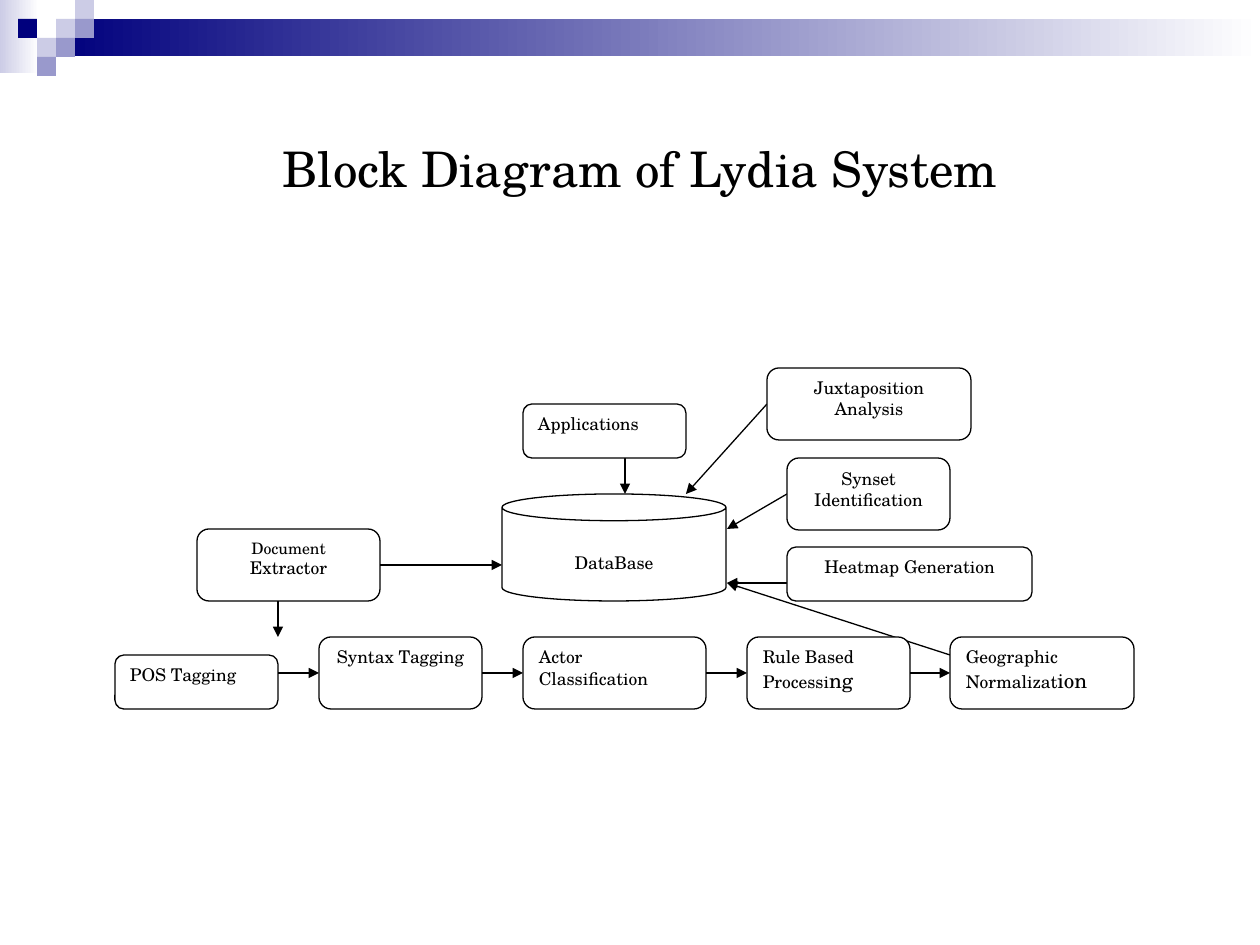
from dataclasses import dataclass
from itertools import pairwise

from lxml.etree import SubElement
from pptx import Presentation
from pptx.dml.color import RGBColor
from pptx.enum.shapes import MSO_CONNECTOR, MSO_SHAPE
from pptx.enum.text import MSO_ANCHOR, PP_ALIGN
from pptx.oxml.ns import qn
from pptx.util import Emu, Pt


@dataclass(frozen=True)
class Theme:
    """Colours, font and type sizes of the slide."""
    font: str = "TeX Gyre Schola"
    ink: str = "000000"
    paper: str = "FFFFFF"
    navy: str = "00007D"
    violet: str = "9999CC"
    lilac: str = "CCCCE6"
    title: float = 28
    large: float = 12
    label: float = 10
    small: float = 9
    line: float = 0.75


THEME = Theme()
LEFT, CENTER = PP_ALIGN.LEFT, PP_ALIGN.CENTER


def px(length):
    """Turn pixels at 126 to the inch into EMU."""
    return Emu(round(length * 914400 / 126))


def colour(code):
    """Return the colour for a hex code."""
    return RGBColor.from_string(code)


def add_block(page, kind, left, top, width, height):
    """Add a preset shape without shadow."""
    shape = page.shapes.add_shape(kind, px(left), px(top), px(width), px(height))
    shape.shadow.inherit = False
    return shape


def write(frame, paragraphs, align):
    """Write paragraphs, each a list of (text, size) runs."""
    for index, spans in enumerate(paragraphs):
        para = frame.add_paragraph() if index else frame.paragraphs[0]
        para.alignment = align
        for text, size in spans:
            span = para.add_run()
            span.text = text
            span.font.name = THEME.font
            span.font.size = Pt(size)
            span.font.color.rgb = colour(THEME.ink)


def add_node(page, kind, box, paragraphs, align, inset=6):
    """Add an outlined diagram node with its label."""
    node = add_block(page, kind, *box)
    node.fill.solid()
    node.fill.fore_color.rgb = colour(THEME.paper)
    node.line.color.rgb = colour(THEME.ink)
    node.line.width = Pt(THEME.line)
    frame = node.text_frame
    frame.word_wrap = True
    frame.vertical_anchor = MSO_ANCHOR.TOP
    frame.margin_top = px(inset)
    write(frame, paragraphs, align)


def add_arrow(page, start, end):
    """Add a straight line with a triangular head at its end."""
    arrow = page.shapes.add_connector(
        MSO_CONNECTOR.STRAIGHT, *map(px, start), *map(px, end))
    arrow.line.color.rgb = colour(THEME.ink)
    arrow.line.width = Pt(THEME.line)
    SubElement(arrow.line._get_or_add_ln(), qn("a:tailEnd"), type="triangle")
    SubElement(arrow._element.spPr, qn("a:effectLst"))


def add_banner(page, left, top, width):
    """Draw the gradient bands and the chequered squares."""
    bands = [((0, 0, 39, 73), THEME.lilac), ((57, 19, width - 57, 37), THEME.navy)]
    for (x, y, w, h), start in bands:
        band = add_block(page, MSO_SHAPE.RECTANGLE, left + x, top + y, w, h)
        band.line.fill.background()
        band.fill.gradient()
        band.fill.gradient_angle = 0
        for stop, code in zip(band.fill.gradient_stops, (start, THEME.paper)):
            stop.color.rgb = colour(code)
        first, last = band.fill.gradient_stops
        first.position, last.position = 0, 1
    side = 19
    squares = [(3, 1, THEME.lilac), (4, 0, THEME.lilac), (4, 1, THEME.violet),
               (2, 2, THEME.lilac), (1, 1, THEME.navy), (3, 2, THEME.violet),
               (2, 3, THEME.violet)]
    for column, row, code in squares:
        square = add_block(page, MSO_SHAPE.RECTANGLE, left + column * side - 1,
                           top + row * side, side, side)
        square.fill.solid()
        square.fill.fore_color.rgb = colour(code)
        square.line.fill.background()


def add_title(page, left, top, width, height):
    """Place and fill the title placeholder."""
    title = page.shapes.title
    title.left, title.top, title.width, title.height = map(
        px, (left, top, width, height))
    title.text_frame.vertical_anchor = MSO_ANCHOR.MIDDLE
    write(title.text_frame, [[("Block Diagram of Lydia System", THEME.title)]], CENTER)


def add_diagram(page, left, top):
    """Draw the database with its feeding modules and the processing row."""
    label, large, small = THEME.label, THEME.large, THEME.small
    modules = [
        ((82, 161, 183, 72), [[("Document ", small), ("Extractor", label)]], CENTER),
        ((408, 36, 163, 54), [[("Applications", label)]], LEFT),
        ((652, 0, 204, 72), [[("Juxtaposition", label)], [("Analysis", label)]], CENTER),
        ((672, 90, 163, 72), [[("Synset Identification", label)]], CENTER),
        ((672, 179, 245, 54), [[("Heatmap Generation", label)]], CENTER),
    ]
    stages = [
        ((0, 287, 163, 54), [[("POS Tagging", label)]], LEFT),
        ((204, 269, 163, 72), [[("Syntax Tagging", label)]], CENTER),
        ((408, 269, 183, 72), [[("Actor Classification", label)]], LEFT),
        ((632, 269, 163, 72), [[("Rule Based Processi", label), ("ng", large)]], LEFT),
        ((835, 269, 184, 72), [[("Geographic Normalizat", label), ("ion", large)]], LEFT),
    ]
    arrows = [
        ((265, 197), (387, 197)), ((163, 233), (163, 269)),
        ((510, 90), (510, 126)), ((652, 36), (571, 126)),
        ((672, 126), (612, 161)), ((672, 215), (612, 215)),
        ((835, 287), (612, 215)),
    ]
    for (before, *_), (after, *_) in pairwise(stages):
        arrows.append(((before[0] + before[2], 305), (after[0], 305)))
    for start, end in arrows:
        add_arrow(page, (left + start[0], top + start[1]),
                  (left + end[0], top + end[1]))
    for (x, y, w, h), paragraphs, align in modules + stages:
        add_node(page, MSO_SHAPE.ROUNDED_RECTANGLE, (left + x, top + y, w, h),
                 paragraphs, align)
    add_node(page, MSO_SHAPE.CAN, (left + 387, top + 126, 224, 107),
             [[("DataBase", label)]], CENTER, inset=31)


def main():
    """Build and save the slide."""
    deck = Presentation()
    deck.slide_width, deck.slide_height = px(1260), px(945)
    page = deck.slides.add_slide(deck.slide_layouts[5])
    add_banner(page, 0, 0, 1260)
    add_title(page, 73, 73, 1134, 189)
    add_diagram(page, 115, 368)
    deck.save("out.pptx")


if __name__ == "__main__":
    main()
